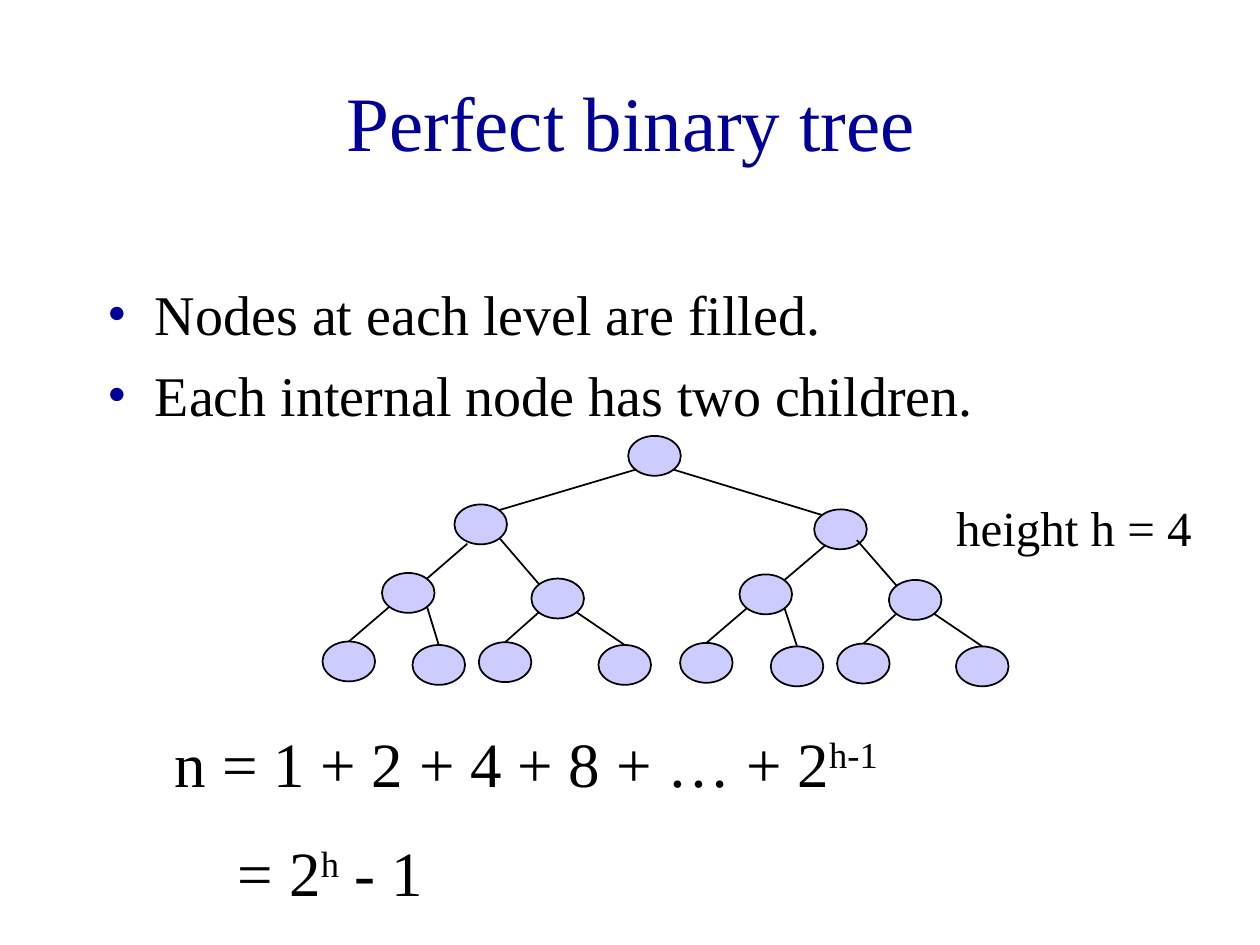
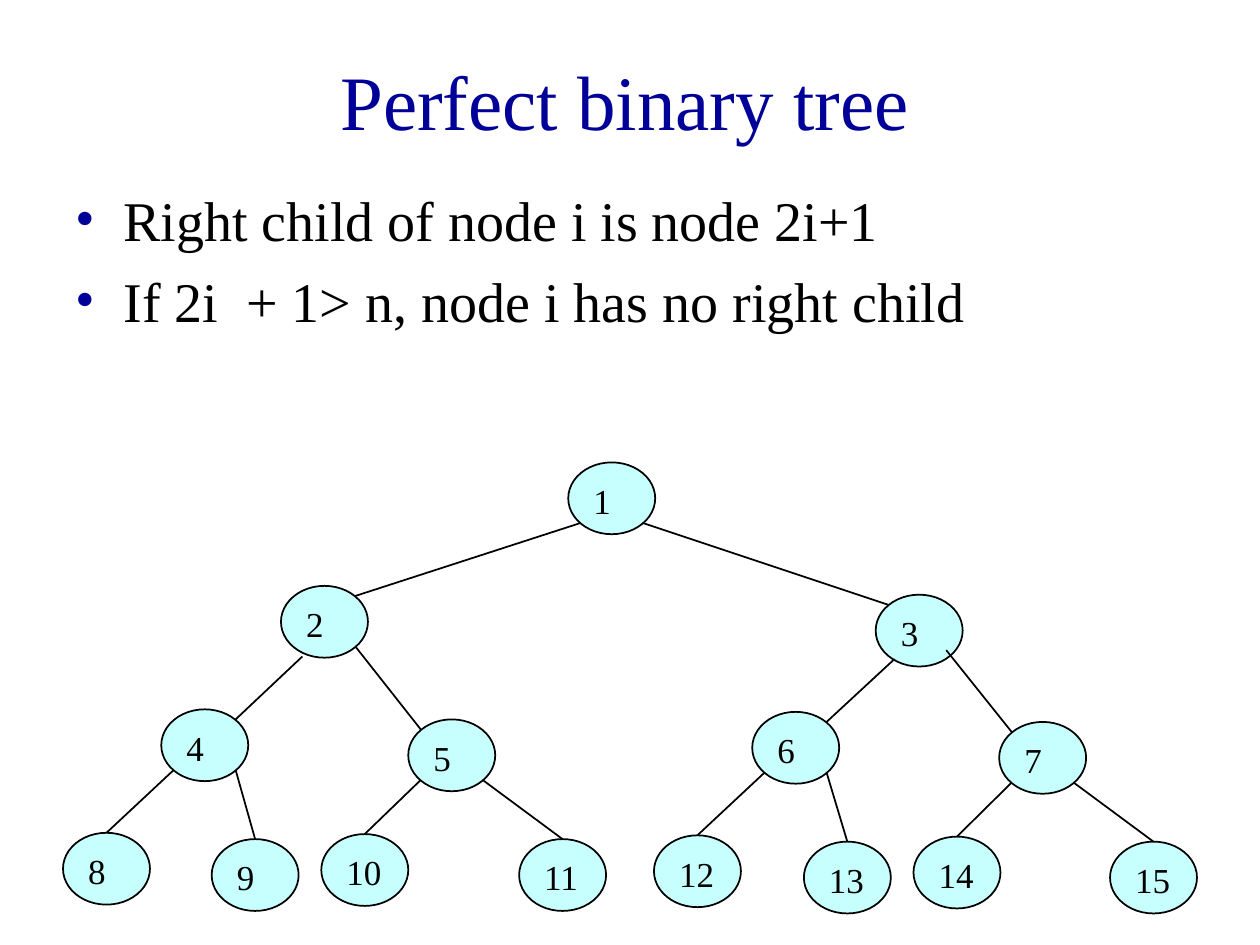
"""Build two slides about perfect binary trees."""
from dataclasses import dataclass

from lxml import etree
from pptx import Presentation
from pptx.dml.color import RGBColor
from pptx.enum.shapes import MSO_CONNECTOR, MSO_SHAPE
from pptx.enum.text import MSO_ANCHOR, MSO_AUTO_SIZE, PP_ALIGN
from pptx.oxml.ns import qn
from pptx.util import Inches, Pt

STRAIGHT = MSO_CONNECTOR.STRAIGHT
OVAL = MSO_SHAPE.OVAL
TOP = MSO_ANCHOR.TOP
MIDDLE = MSO_ANCHOR.MIDDLE
NO_AUTOFIT = MSO_AUTO_SIZE.NONE
CENTER = PP_ALIGN.CENTER
LEFT = PP_ALIGN.LEFT

NAVY = RGBColor(0x00, 0x00, 0x99)
BLACK = RGBColor(0x00, 0x00, 0x00)
LAVENDER = RGBColor(0xCC, 0xCC, 0xFF)
PALE_CYAN = RGBColor(0xC7, 0xFF, 0xFF)
FONT = "Times New Roman"
TITLE = "Perfect binary tree"

NODE_WIDTH, NODE_HEIGHT = 0.69, 0.57
NODE_OFFSETS = {
    1: (4.01, 0), 2: (1.73, 0.98), 3: (6.45, 1.05),
    4: (0.78, 1.96), 5: (2.74, 2.04), 6: (5.47, 1.98), 7: (7.43, 2.06),
    8: (0, 2.94), 9: (1.18, 2.99), 10: (2.05, 2.95), 11: (3.62, 2.99),
    12: (4.69, 2.96), 13: (5.88, 3.01), 14: (6.75, 2.97), 15: (8.31, 3.01),
}
FIRST_LEAF = 8
LOWER_LEFT, LOWER_RIGHT = (0.1, 0.48), (0.59, 0.48)
UPPER_LEFT, UPPER_RIGHT = (0.1, 0.08), (0.59, 0.08)
TOP_CENTER = (0.345, 0)
SHIFTED_STARTS = {4: (0.17, 0.56), 6: (0.15, 0.51), 7: (0.56, 0.44)}


@dataclass(frozen=True)
class Box:
    """Position and size in inches."""
    left: float
    top: float
    width: float
    height: float

    def lengths(self) -> tuple:
        """Return the four sides as lengths."""
        return tuple(map(Inches, (self.left, self.top, self.width, self.height)))


@dataclass(frozen=True)
class Tree:
    """Place, scale and look of one perfect binary tree."""
    left: float
    top: float
    scale_x: float
    scale_y: float
    fill: RGBColor
    numbered: bool

    def point(self, node: int, anchor: tuple = (0, 0)) -> tuple:
        """Return a point of a node in slide lengths."""
        x, y = NODE_OFFSETS[node]
        return (Inches(self.left + (x + anchor[0]) * self.scale_x),
                Inches(self.top + (y + anchor[1]) * self.scale_y))


@dataclass(frozen=True)
class Lesson:
    """Title, list and tree of one slide."""
    title_box: Box
    body_box: Box
    points: tuple
    tree: Tree


LESSONS = (
    Lesson(Box(0.76, 0.5, 8.5, 0.92), Box(0.75, 2.17, 8.5, 2.5),
           ("Nodes at each level are filled.",
            "Each internal node has two children."),
           Tree(2.56, 3.46, 0.605, 0.555, LAVENDER, False)),
    Lesson(Box(0.25, 0.17, 9.42, 1.25), Box(0.5, 1.42, 9.29, 2),
           ("Right child of node i is node 2i+1",
            "If 2i  + 1> n, node i has no right child"),
           Tree(0.5, 3.67, 1, 1, PALE_CYAN, True)),
)
FORMULA = (
    (("n = 1 + 2 + 4 + 8 + … + 2", False), ("h-1", True)),
    (("= 2", False), ("h", True), (" - 1", False)),
)


def add_run(paragraph, text: str, size: int, color: RGBColor = BLACK,
            raised: bool = False) -> None:
    """Add a formatted run, optionally as superscript."""
    run = paragraph.add_run()
    run.text = text
    run.font.name = FONT
    run.font.size = Pt(size)
    run.font.color.rgb = color
    if raised:
        run.font._element.set("baseline", "30000")


def next_paragraph(frame, index: int, gap: float):
    """Return the paragraph at an index, spaced from the one before."""
    paragraph = frame.add_paragraph() if index else frame.paragraphs[0]
    paragraph.space_before = Pt(gap if index else 0)
    return paragraph


def set_indent(paragraph, margin: float, hanging: float = 0) -> None:
    """Set the left margin and the hanging indent in inches."""
    properties = paragraph._p.get_or_add_pPr()
    properties.set("marL", str(Inches(margin)))
    properties.set("indent", str(-Inches(hanging)))


def add_bullet(paragraph) -> None:
    """Give a paragraph a navy bullet."""
    set_indent(paragraph, 0.38, 0.38)
    properties = paragraph._p.get_or_add_pPr()
    color = etree.SubElement(properties, qn("a:buClr"))
    etree.SubElement(color, qn("a:srgbClr"), val=str(NAVY))
    etree.SubElement(properties, qn("a:buFont"), typeface=FONT)
    etree.SubElement(properties, qn("a:buChar"), char="•")


def place(placeholder, box: Box, anchor):
    """Move a placeholder and return its text frame."""
    (placeholder.left, placeholder.top,
     placeholder.width, placeholder.height) = box.lengths()
    frame = placeholder.text_frame
    frame.auto_size = NO_AUTOFIT
    frame.vertical_anchor = anchor
    return frame


def add_node(slide, tree: Tree, node: int) -> None:
    """Draw one node of a tree."""
    oval = slide.shapes.add_shape(
        OVAL, *tree.point(node), Inches(NODE_WIDTH * tree.scale_x),
        Inches(NODE_HEIGHT * tree.scale_y))
    oval.shadow.inherit = False
    oval.fill.solid()
    oval.fill.fore_color.rgb = tree.fill
    oval.line.color.rgb = BLACK
    oval.line.width = Pt(1)
    if tree.numbered:
        frame = oval.text_frame
        frame.vertical_anchor = TOP
        frame.paragraphs[0].alignment = LEFT
        add_run(frame.paragraphs[0], str(node), 20)


def add_edge(slide, tree: Tree, child: int) -> None:
    """Draw the edge from a node's parent to the node."""
    is_left = child % 2 == 0
    start = SHIFTED_STARTS.get(child, LOWER_LEFT if is_left else LOWER_RIGHT)
    end = UPPER_RIGHT if is_left else UPPER_LEFT
    if child >= FIRST_LEAF:
        end = TOP_CENTER
    edge = slide.shapes.add_connector(
        STRAIGHT, *tree.point(child // 2, start), *tree.point(child, end))
    edge.line.color.rgb = BLACK
    edge.line.width = Pt(1)
    etree.SubElement(edge._element.spPr, qn("a:effectLst"))


def add_lesson(deck, lesson: Lesson):
    """Add a slide with title, list and tree."""
    slide = deck.slides.add_slide(deck.slide_layouts[1])
    title = place(slide.shapes.title, lesson.title_box, MIDDLE).paragraphs[0]
    title.alignment = CENTER
    add_run(title, TITLE, 44, NAVY)
    body = place(slide.placeholders[1], lesson.body_box, TOP)
    for index, point in enumerate(lesson.points):
        paragraph = next_paragraph(body, index, 7.8)
        add_bullet(paragraph)
        add_run(paragraph, point, 32)
    for node in NODE_OFFSETS:
        add_node(slide, lesson.tree, node)
    for child in range(2, len(NODE_OFFSETS) + 1):
        add_edge(slide, lesson.tree, child)
    return slide


def add_node_count(slide) -> None:
    """Add the height label and the formula for the number of nodes."""
    height_label = slide.shapes.add_textbox(*Box(7.49, 3.9, 2.09, 0.57).lengths())
    height_label.text_frame.word_wrap = False
    add_run(height_label.text_frame.paragraphs[0], "height h = 4", 28)
    formula = slide.shapes.add_textbox(*Box(1.29, 5.7, 7.42, 1.61).lengths())
    formula.text_frame.word_wrap = True
    for index, terms in enumerate(FORMULA):
        paragraph = next_paragraph(formula.text_frame, index, 19)
        set_indent(paragraph, 0.5 * index)
        for text, raised in terms:
            add_run(paragraph, text, 36, raised=raised)


def main() -> None:
    """Build and save the deck."""
    deck = Presentation()
    deck.slide_width, deck.slide_height = Inches(10), Inches(7.5)
    slides = [add_lesson(deck, lesson) for lesson in LESSONS]
    add_node_count(slides[0])
    deck.save("out.pptx")


if __name__ == "__main__":
    main()
